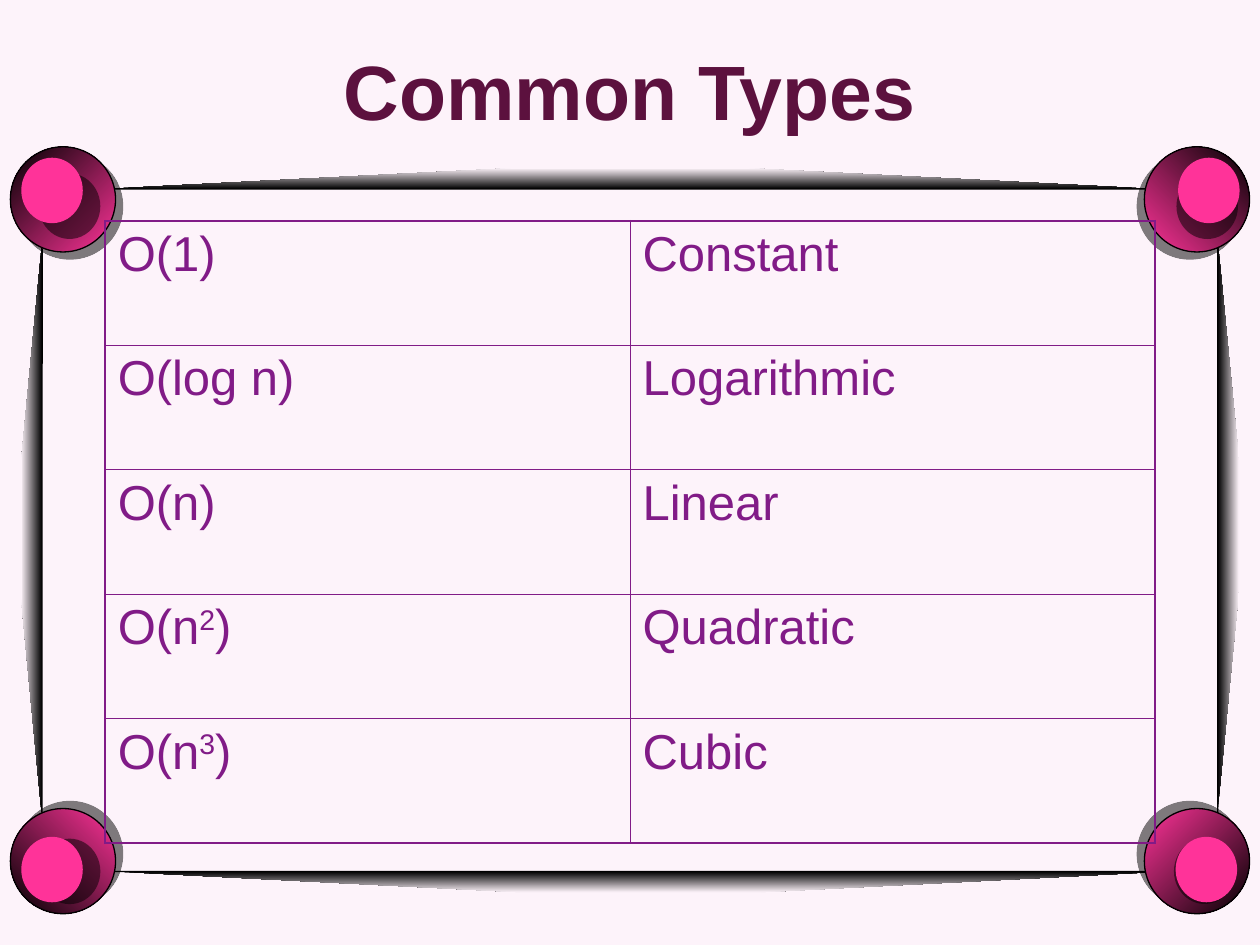
"""Build the "Common Types" slide: a table of complexity classes in an ornamental frame."""
from dataclasses import dataclass

from lxml import etree
from pptx import Presentation
from pptx.dml.color import RGBColor
from pptx.enum.shapes import MSO_SHAPE
from pptx.enum.text import MSO_ANCHOR, MSO_AUTO_SIZE, PP_ALIGN
from pptx.oxml.ns import qn
from pptx.util import Cm, Pt

OVAL, PLAQUE = MSO_SHAPE.OVAL, MSO_SHAPE.PLAQUE
MIDDLE, CENTER = MSO_ANCHOR.MIDDLE, PP_ALIGN.CENTER
NO_AUTOFIT = MSO_AUTO_SIZE.NONE


@dataclass(frozen=True)
class Theme:
    paper: RGBColor = RGBColor.from_string("FDF3FA")
    black: RGBColor = RGBColor.from_string("000000")
    pink: RGBColor = RGBColor.from_string("FF3399")
    title: RGBColor = RGBColor.from_string("5C113E")
    text: RGBColor = RGBColor.from_string("811B87")
    font: str = "Arial"
    title_size: Pt = Pt(44)
    text_size: Pt = Pt(28)
    outline: Pt = Pt(0.75)
    outer_border: Pt = Pt(1.08)
    inner_border: Pt = Pt(0.45)


theme = Theme()


def set_gradient(sp, start, end, angle):
    sp.fill.gradient()
    sp.fill.gradient_angle = angle
    for stop, color, pos in zip(sp.fill.gradient_stops, (start, end), (0, 1)):
        stop.color.rgb = color
        stop.position = pos


def set_shadow(sp, dist, direction):
    sp.shadow.inherit = False
    effects = sp._element.spPr.find(qn("a:effectLst"))
    shadow = etree.SubElement(effects, qn("a:outerShdw"), blurRad="0", dist=str(Pt(dist)),
                              dir=str(direction * 60000), algn="ctr", rotWithShape="0")
    color = etree.SubElement(shadow, qn("a:srgbClr"), val=str(theme.black))
    etree.SubElement(color, qn("a:alpha"), val="50000")


prs = Presentation()
prs.slide_width, prs.slide_height = Cm(25.4), Cm(19.05)
s = prs.slides.add_slide(prs.slide_layouts[5])
s.background.fill.solid()
s.background.fill.fore_color.rgb = theme.paper

title = s.shapes.title
title.left, title.top, title.width, title.height = Cm(0.42), Cm(0.21), Cm(24.55), Cm(3.18)
tf = title.text_frame
tf.text = "Common Types"
tf.auto_size, tf.vertical_anchor = NO_AUTOFIT, MIDDLE
p = tf.paragraphs[0]
p.alignment = CENTER
font = p.runs[0].font
font.name, font.size, font.bold = theme.font, theme.title_size, True
font.color.rgb = theme.title

panel = s.shapes.add_shape(PLAQUE, Cm(0.85), Cm(3.81), Cm(23.7), Cm(13.76))
panel.adjustments[0] = 0.077
panel.shadow.inherit = False
panel.fill.solid()
panel.fill.fore_color.rgb = theme.paper
panel.line.color.rgb, panel.line.width = theme.black, theme.outline

wedges = [
    (180, [(0.85, 4.87), (0.85, 16.51), (0.42, 11.99), (0.42, 9.37)]),
    (90, [(23.28, 3.81), (2.12, 3.81), (10.34, 3.39), (15.06, 3.39)]),
    (270, [(2.33, 17.57), (23.5, 17.57), (15.29, 17.99), (10.54, 17.99)]),
    (0, [(24.55, 16.31), (24.55, 4.87), (24.98, 9.3), (24.98, 11.86)]),
]
for angle, corners in wedges:
    points = [(Cm(x), Cm(y)) for x, y in corners]
    builder = s.shapes.build_freeform(*points[0])
    builder.add_line_segments(points[1:])
    wedge = builder.convert_to_shape()
    wedge.shadow.inherit = False
    wedge.line.fill.background()
    set_gradient(wedge, theme.black, theme.paper, angle)

LEFT, RIGHT, TOP, BOTTOM = 0.21, 23.07, 2.96, 16.3
knobs = [
    (LEFT, TOP, 135, 0.43, 3.18, 13.5, 42),
    (RIGHT, TOP, 45, 23.75, 3.18, 9.1, 96),
    (LEFT, BOTTOM, 225, 0.43, 16.87, 10.1, 6),
    (RIGHT, BOTTOM, 315, 23.7, 16.87, 1.4, 135),
]
for x, y, outward, spot_x, spot_y, spot_dist, spot_dir in knobs:
    ball = s.shapes.add_shape(OVAL, Cm(x), Cm(y), Cm(2.12), Cm(2.12))
    set_gradient(ball, theme.pink, theme.black, outward)
    ball.line.color.rgb, ball.line.width = theme.black, theme.outline
    set_shadow(ball, 5.7, (180 - outward) % 360)
    spot = s.shapes.add_shape(OVAL, Cm(spot_x), Cm(spot_y), Cm(1.24), Cm(1.32))
    spot.fill.solid()
    spot.fill.fore_color.rgb = theme.pink
    spot.line.fill.background()
    set_shadow(spot, spot_dist, spot_dir)

rows = [
    ("O(1)", "Constant"),
    ("O(log n)", "Logarithmic"),
    ("O(n)", "Linear"),
    ("O(n^2^)", "Quadratic"),
    ("O(n^3^)", "Cubic"),
]
last_row, last_col = len(rows) - 1, len(rows[0]) - 1
frame = s.shapes.add_table(len(rows), len(rows[0]), Cm(2.12), Cm(4.45), Cm(21.16), Cm(12.55))
table = frame.table
table.first_row = table.horz_banding = False
for i, row in enumerate(rows):
    for j, text in enumerate(row):
        cell = table.cell(i, j)
        p = cell.text_frame.paragraphs[0]
        p.space_before = Pt(7)
        for k, part in enumerate(text.split("^")):
            r = p.add_run()
            r.text = part
            r.font.name, r.font.size = theme.font, theme.text_size
            r.font.color.rgb = theme.text
            if k % 2:
                r._r.get_or_add_rPr().set("baseline", "30000")
        tcPr = cell._tc.get_or_add_tcPr()
        sides = {"L": j == 0, "R": j == last_col, "T": i == 0, "B": i == last_row}
        for side, outer in sides.items():
            width = theme.outer_border if outer else theme.inner_border
            ln = etree.SubElement(tcPr, qn(f"a:ln{side}"), w=str(width))
            fill = etree.SubElement(ln, qn("a:solidFill"))
            etree.SubElement(fill, qn("a:srgbClr"), val=str(theme.text))
        cell.fill.background()

prs.save("out.pptx")
